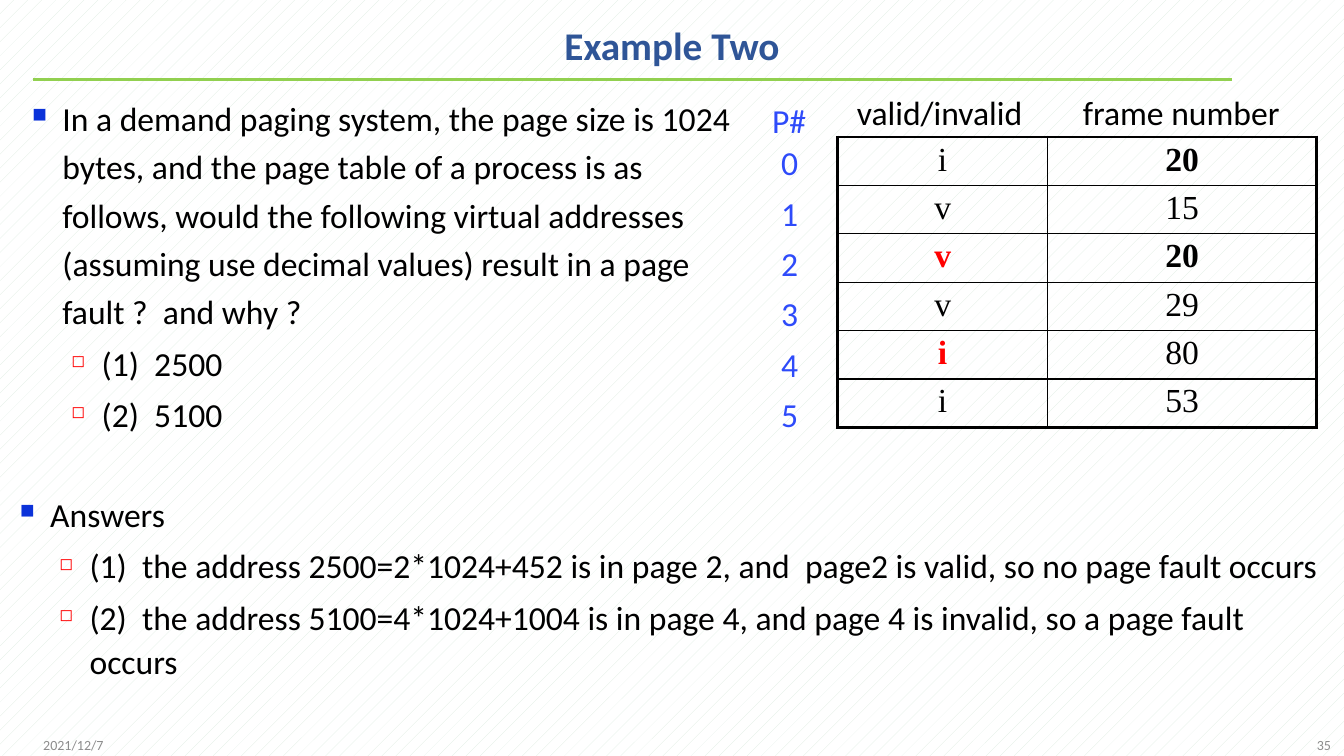
from lxml.etree import SubElement
from pptx import Presentation
from pptx.dml.color import RGBColor
from pptx.enum.dml import MSO_PATTERN
from pptx.enum.shapes import MSO_CONNECTOR
from pptx.enum.text import MSO_ANCHOR, MSO_AUTO_SIZE, PP_ALIGN
from pptx.oxml.ns import qn
from pptx.util import Inches, Pt

WIDTH, HEIGHT = Inches(13.33), Inches(7.5)
BLACK, RED, BLUE, GRAY = "000000", "FF0000", "2E4BFA", "8C8C8C"

# Per level: bullet, its colour, its size in %, indent, line spacing, space before
LEVELS = [("■", "0B32D9", 60, 0.3, 1.2, 5.6),
          ("◻", RED, 50, 0.69, 1.1, 5)]
HANGING = Inches(0.3)

QUESTION = [
    (0, "In a demand paging system, the page size is 1024 bytes, and the page "
        "table of a process is as follows, would the following virtual addresses "
        "(assuming use decimal values) result in a page fault ?  and why ?"),
    (1, "(1)  2500"),
    (1, "(2)  5100"),
]
ANSWERS = [
    (0, "Answers"),
    (1, "(1)  the address 2500=2*1024+452 is in page 2, and  page2 is valid, "
        "so no page fault occurs"),
    (1, "(2)  the address 5100=4*1024+1004 is in page 4, and page 4 is invalid, "
        "so a page fault occurs"),
]
PAGE_TABLE = [("i", "20"), ("v", "15"), ("v", "20"),
              ("v", "29"), ("i", "80"), ("i", "53")]
# (row, column) of the bold cells and their colours
BOLD_CELLS = {(0, 1): BLACK, (2, 0): RED, (2, 1): BLACK, (4, 0): RED}

# Page table position, as percent of the slide
TABLE_LEFT, TABLE_TOP = 62.34, 18.13
TABLE_COLS, TABLE_ROW = (15.6, 20.03), 6.27
LABEL_ROW = 6.67


def color(hex_code):
    return RGBColor.from_string(hex_code)


def across(percent):
    return int(WIDTH * percent / 100)


def down(percent):
    return int(HEIGHT * percent / 100)


def area(left, top, width, height):
    return across(left), down(top), across(width), down(height)


def style(p, size, hex_code, bold=False, font="Calibri"):
    for r in p.runs:
        r.font.name, r.font.size, r.font.bold = font, Pt(size), bold
        r.font.color.rgb = color(hex_code)


def add_text(s, box, text, size=24, hex_code=BLACK, align=PP_ALIGN.LEFT,
             anchor=MSO_ANCHOR.TOP):
    tf = s.shapes.add_textbox(*area(*box)).text_frame
    tf.word_wrap, tf.vertical_anchor = True, anchor
    p = tf.paragraphs[0]
    p.text, p.alignment = text, align
    style(p, size, hex_code)
    return p


def add_bullet(p, level):
    char, hex_code, percent, indent, spacing, before = LEVELS[level]
    pPr = p._p.get_or_add_pPr()
    pPr.set("marL", str(Inches(indent)))
    pPr.set("indent", str(-HANGING))
    bu_color = SubElement(pPr, qn("a:buClr"))
    SubElement(bu_color, qn("a:srgbClr"), val=hex_code)
    SubElement(pPr, qn("a:buSzPct"), val=str(percent * 1000))
    SubElement(pPr, qn("a:buChar"), char=char)
    p.level, p.line_spacing = level, spacing
    return Pt(before)


def add_outline(s, box, items):
    tf = s.shapes.add_textbox(*area(*box)).text_frame
    tf.word_wrap = True
    for i, (level, text) in enumerate(items):
        p = tf.add_paragraph() if i else tf.paragraphs[0]
        p.text = text
        before = add_bullet(p, level)
        p.space_before = before if i else Pt(0)
        style(p, 24, BLACK)


def add_title(s, text):
    sp = s.shapes.title
    sp.left, sp.top, sp.width, sp.height = area(2.55, 1.2, 94.9, 10.27)
    tf = sp.text_frame
    tf.text = text
    tf.auto_size, tf.vertical_anchor = MSO_AUTO_SIZE.NONE, MSO_ANCHOR.MIDDLE
    p = tf.paragraphs[0]
    p.alignment, p.line_spacing = PP_ALIGN.CENTER, 0.9
    style(p, 28, "2F5597", bold=True)


def add_rule(s, left, right, y):
    line = s.shapes.add_connector(MSO_CONNECTOR.STRAIGHT, across(left), down(y),
                                  across(right), down(y))
    line.line.color.rgb, line.line.width = color("92D050"), Pt(2.25)
    SubElement(line._element.spPr, qn("a:effectLst"))


def set_borders(cell, outer_sides):
    tcPr = cell._tc.get_or_add_tcPr()
    for side in "LRTB":
        width = Pt(2.25 if side in outer_sides else 1)
        ln = SubElement(tcPr, qn(f"a:ln{side}"), w=str(width))
        fill = SubElement(ln, qn("a:solidFill"))
        SubElement(fill, qn("a:srgbClr"), val=BLACK)


def add_page_table(s):
    last = len(PAGE_TABLE) - 1
    box = area(TABLE_LEFT, TABLE_TOP, sum(TABLE_COLS), TABLE_ROW * (last + 1))
    table = s.shapes.add_table(last + 1, len(TABLE_COLS), *box).table
    table.first_row = table.horz_banding = False
    for col, width in zip(table.columns, TABLE_COLS):
        col.width = across(width)
    for i, row in enumerate(PAGE_TABLE):
        for j, value in enumerate(row):
            cell = table.cell(i, j)
            outer = "LR"[j] + ("T" if i == 0 else "") + ("B" if i == last else "")
            set_borders(cell, outer)
            cell.fill.background()
            cell.margin_top = cell.margin_bottom = Inches(0.04)
            p = cell.text_frame.paragraphs[0]
            p.text, p.alignment = value, PP_ALIGN.CENTER
            style(p, 24, BOLD_CELLS.get((i, j), BLACK), (i, j) in BOLD_CELLS,
                  "Times New Roman")


def add_table_labels(s):
    # Column headings, the second one at a tab stop
    p = add_text(s, (63.02, 11.47, 33.23, LABEL_ROW), "valid/invalid\tframe number")
    tabs = SubElement(p._p.get_or_add_pPr(), qn("a:tabLst"))
    SubElement(tabs, qn("a:tab"), pos=str(Inches(2.24)), algn="l")
    # Page numbers
    add_text(s, (56.71, 12.53, 4.13, LABEL_ROW), "P#", hex_code=BLUE)
    for i in range(len(PAGE_TABLE)):
        box = (57.39, TABLE_TOP + i * LABEL_ROW, 2.78, LABEL_ROW)
        add_text(s, box, str(i), hex_code=BLUE)


def add_footer(s):
    for left, text, align in ((2.48, "2021/12/7", PP_ALIGN.LEFT),
                              (77.27, "35", PP_ALIGN.RIGHT)):
        add_text(s, (left, 95.87, 22.5, 5.33), text, 10, GRAY, align,
                 MSO_ANCHOR.MIDDLE)


def main():
    prs = Presentation()
    prs.slide_width, prs.slide_height = WIDTH, HEIGHT
    s = prs.slides.add_slide(prs.slide_layouts[5])

    # Background
    fill = s.background.fill
    fill.patterned()
    fill.pattern = MSO_PATTERN.PERCENT_5
    fill.fore_color.rgb, fill.back_color.rgb = color("DCECE0"), color("FFFFFF")

    # Heading
    add_rule(s, 2.48, 91.67, 10.53)
    add_title(s, "Example Two")

    # Question, page table and answers
    add_outline(s, (1.65, 11.2, 55.14, 84.8), QUESTION)
    add_page_table(s)
    add_table_labels(s)
    add_outline(s, (0.75, 63.6, 98.5, 29.47), ANSWERS)

    add_footer(s)
    prs.save("out.pptx")


if __name__ == "__main__":
    main()
